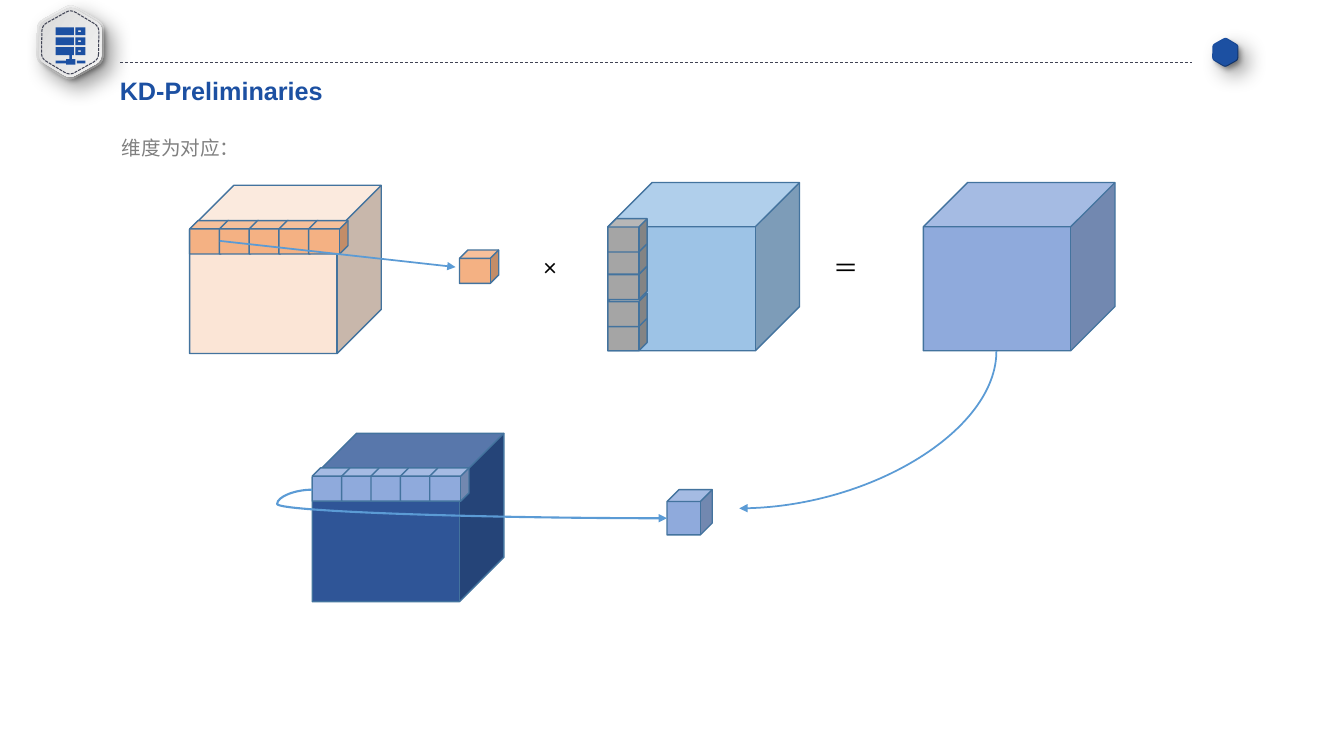
from math import cos, pi, sin

from lxml.etree import SubElement
from pptx import Presentation
from pptx.dml.color import RGBColor
from pptx.enum.dml import MSO_LINE
from pptx.enum.shapes import MSO_CONNECTOR, MSO_SHAPE
from pptx.enum.text import MSO_AUTO_SIZE
from pptx.oxml.ns import qn
from pptx.util import Cm, Pt

BLUE, GREY, SLATE = "1C50A2", "A5A5A5", "414455"
CUBE_LINE, ARROW = "43739E", "5B9BD5"
PEACH, ORANGE, SKY, PERIWINKLE, NAVY = "FBE5D6", "F4B183", "9DC3E6", "8FAADC", "2F5597"
BIG, SMALL = (4.83, 4.24), (0.99, 0.84)
DEEP = 0.263
WIDE_SHADOW, TIGHT_SHADOW = (15, 9), (4, 3)


def color(value):
    """Return the colour for a hex string."""
    return RGBColor.from_string(value)


def apply_format(target, values):
    """Set every attribute of a format dict on the target."""
    for name, value in values.items():
        setattr(target, name, value)


def paint(shape, fill=None, line=None, width=1, dash=None):
    """Set the fill and outline of a shape without a shadow."""
    shape.shadow.inherit = False
    if fill:
        shape.fill.solid()
        shape.fill.fore_color.rgb = color(fill)
    else:
        shape.fill.background()
    if line:
        shape.line.color.rgb = color(line)
        apply_format(shape.line, {"width": Pt(width), "dash_style": dash})
    else:
        shape.line.fill.background()


def add_shadow(shape, blur, distance):
    """Give a shape a soft shadow to the lower right."""
    effects = shape._element.spPr.find(qn("a:effectLst"))
    shadow = SubElement(effects, qn("a:outerShdw"), blurRad=str(Pt(blur)),
                        dist=str(Pt(distance)), dir="2700000", algn="tl", rotWithShape="0")
    shade = SubElement(shadow, qn("a:srgbClr"), val="000000")
    SubElement(shade, qn("a:alpha"), val="40000")


def add_gradient(shape, angle):
    """Fill a shape with a light grey gradient."""
    shape.fill.gradient()
    shape.fill.gradient_angle = angle
    for stop, value, position in zip(shape.fill.gradient_stops, ("D3D3D3", "F9F9F9"), (0, 1)):
        stop.color.rgb = color(value)
        stop.position = position


def add_cube(slide, left, top, size, fill, depth=0.25):
    """Add an outlined cube."""
    cube = slide.shapes.add_shape(MSO_SHAPE.CUBE, Cm(left), Cm(top), Cm(size[0]), Cm(size[1]))
    cube.adjustments[0] = depth
    paint(cube, fill, CUBE_LINE)


def add_cube_row(slide, left, top, step, fill):
    """Add five small cubes from left to right."""
    for index in range(5):
        add_cube(slide, left + index * step, top, SMALL, fill)


def add_outline(slide, contours):
    """Add a freeform made of closed contours given in centimetres."""
    contours = [[(Cm(x), Cm(y)) for x, y in contour] for contour in contours]
    builder = slide.shapes.build_freeform(*contours[0][0], scale=1.0)
    for index, contour in enumerate(contours):
        if index:
            builder.move_to(*contour[0])
        builder.add_line_segments(contour[1:], close=True)
    return builder.convert_to_shape()


def add_hexagon(slide, center, radius, shadow=None, **style):
    """Add a hexagon with rounded corners, turned onto its point."""
    corners = [(center[0] + radius * cos(step * pi / 3), center[1] + radius * sin(step * pi / 3))
               for step in range(6)]
    points = []
    for index, corner in enumerate(corners):
        before, after = corners[index - 1], corners[(index + 1) % 6]
        for share in (0, 0.25, 0.5, 0.75, 1):
            toward_before, toward_after = 0.17 * (1 - share) ** 2, 0.17 * share ** 2
            points.append(tuple(c + toward_before * (b - c) + toward_after * (a - c)
                                for b, c, a in zip(before, corner, after)))
    hexagon = add_outline(slide, [points])
    hexagon.rotation = 30.9
    paint(hexagon, **style)
    if shadow:
        add_shadow(hexagon, *shadow)
    return hexagon


def rectangle(left, top, right, bottom):
    """Return the corners of a rectangle."""
    return [(left, top), (right, top), (right, bottom), (left, bottom)]


def add_server_icon(slide):
    """Add the stack of three servers on a network line."""
    contours = []
    for row in range(3):
        top = 0.69 + row * 0.25
        contours += [rectangle(1.4, top, 1.86, top + 0.2),
                     rectangle(1.9, top, 2.15, top + 0.2),
                     rectangle(1.97, top + 0.08, 2.04, top + 0.12)]
    contours += [rectangle(1.75, 1.39, 1.81, 1.49), rectangle(1.67, 1.49, 1.9, 1.63),
                 rectangle(1.4, 1.53, 1.67, 1.6), rectangle(1.94, 1.53, 2.15, 1.6)]
    paint(add_outline(slide, contours), BLUE)


def add_line(slide, start, end, line, width, kind=MSO_CONNECTOR.STRAIGHT, dash=None, arrow=True):
    """Add a connector, with an arrowhead unless told otherwise."""
    connector = slide.shapes.add_connector(kind, *map(Cm, start + end))
    connector.line.color.rgb = color(line)
    apply_format(connector.line, {"width": Pt(width), "dash_style": dash})
    properties = connector._element.spPr
    if arrow:
        SubElement(properties.find(qn("a:ln")), qn("a:tailEnd"), type="triangle")
    SubElement(properties, qn("a:effectLst"))
    return properties


def add_quarter_curve(slide, start, end):
    """Add an arrow that leaves downward and bends to the left."""
    properties = add_line(slide, start, end, ARROW, 1.25, MSO_CONNECTOR.CURVE)
    properties.find(qn("a:xfrm")).set("rot", "5400000")
    properties.find(qn("a:prstGeom")).set("prst", "curvedConnector2")


def add_loop_curve(slide, start, end):
    """Add an arrow that swings out to the left before going right."""
    properties = add_line(slide, start, end, ARROW, 1.5, MSO_CONNECTOR.CURVE)
    geometry = properties.find(qn("a:prstGeom"))
    guides = geometry.find(qn("a:avLst"))
    if guides is None:
        guides = SubElement(geometry, qn("a:avLst"))
    SubElement(guides, qn("a:gd"), name="adj1", fmla="val -9900")


def add_text(slide, box, text, size, font, fill, bold=False, wrap=False, margins=(0.25, 0.13)):
    """Add a one-line text box."""
    frame = slide.shapes.add_textbox(*map(Cm, box)).text_frame
    side, edge = map(Cm, margins)
    apply_format(frame, {"word_wrap": wrap, "auto_size": MSO_AUTO_SIZE.SHAPE_TO_FIT_TEXT,
                         "margin_left": side, "margin_right": side,
                         "margin_top": edge, "margin_bottom": edge})
    run = frame.paragraphs[0].add_run()
    run.text = text
    apply_format(run.font, {"size": Pt(size), "name": font, "bold": bold})
    run.font.color.rgb = color(fill)
    SubElement(run.font._element, qn("a:ea"), typeface=font)


def add_header(slide):
    """Add the badge, the dashed rule, the end mark and the title."""
    badge, mark = (1.77, 1.07), (30.88, 1.32)
    for radius, shadow, angle in ((0.97, WIDE_SHADOW, 90), (0.91, TIGHT_SHADOW, 0)):
        add_gradient(add_hexagon(slide, badge, radius, shadow), angle)
    add_hexagon(slide, badge, 0.83, line=SLATE, width=0.75, dash=MSO_LINE.SQUARE_DOT)
    add_line(slide, (3.02, 1.57), (30.05, 1.57), SLATE, 0.5, dash=MSO_LINE.DASH, arrow=False)
    for radius, shadow in ((0.38, WIDE_SHADOW), (0.35, TIGHT_SHADOW)):
        add_hexagon(slide, mark, radius, shadow, fill=BLUE)
    add_server_icon(slide)
    add_text(slide, (2.84, 1.8, 5.56, 0.97), "KD-Preliminaries", 18, "Arial", BLUE,
             bold=True, margins=(0.18, 0.1))


def main():
    """Build the slide and save it."""
    presentation = Presentation()
    apply_format(presentation, {"slide_width": Cm(33.87), "slide_height": Cm(19.05)})
    slide = presentation.slides.add_slide(presentation.slide_layouts[6])
    add_header(slide)

    add_cube(slide, 15.32, 4.6, BIG, SKY, DEEP)
    for top in (8, 7.39, 6.71, 6.07, 5.51):
        add_cube(slide, 15.32, top, SMALL, GREY)
    add_cube(slide, 23.27, 4.6, BIG, PERIWINKLE, DEEP)
    add_cube(slide, 11.58, 6.3, SMALL, ORANGE)
    add_text(slide, (13.46, 6.2, 0.99, 1.02), "×", 18, "Calibri", "000000")
    add_text(slide, (20.75, 6.22, 1.14, 1.02), "＝", 18, "Calibri", "000000")
    add_quarter_curve(slide, (19.89, 7.59), (23.85, 14.07))

    add_cube(slide, 16.81, 12.34, (1.14, 1.14), PERIWINKLE, DEEP)
    add_cube(slide, 7.87, 10.92, BIG, NAVY, DEEP)
    add_cube_row(slide, 7.87, 11.79, 0.74, PERIWINKLE)
    add_loop_curve(slide, (7.87, 12.34), (16.81, 13.06))

    add_cube(slide, 4.78, 4.67, BIG, PEACH, DEEP)
    add_cube_row(slide, 4.78, 5.56, 0.75, ORANGE)
    add_line(slide, (5.54, 6.07), (11.48, 6.73), ARROW, 1.25)
    add_text(slide, (2.82, 3.3, 16.94, 0.86), "维度为对应：", 14, "Noto Sans CJK SC", "808080",
             wrap=True)
    presentation.save("out.pptx")


if __name__ == "__main__":
    main()
